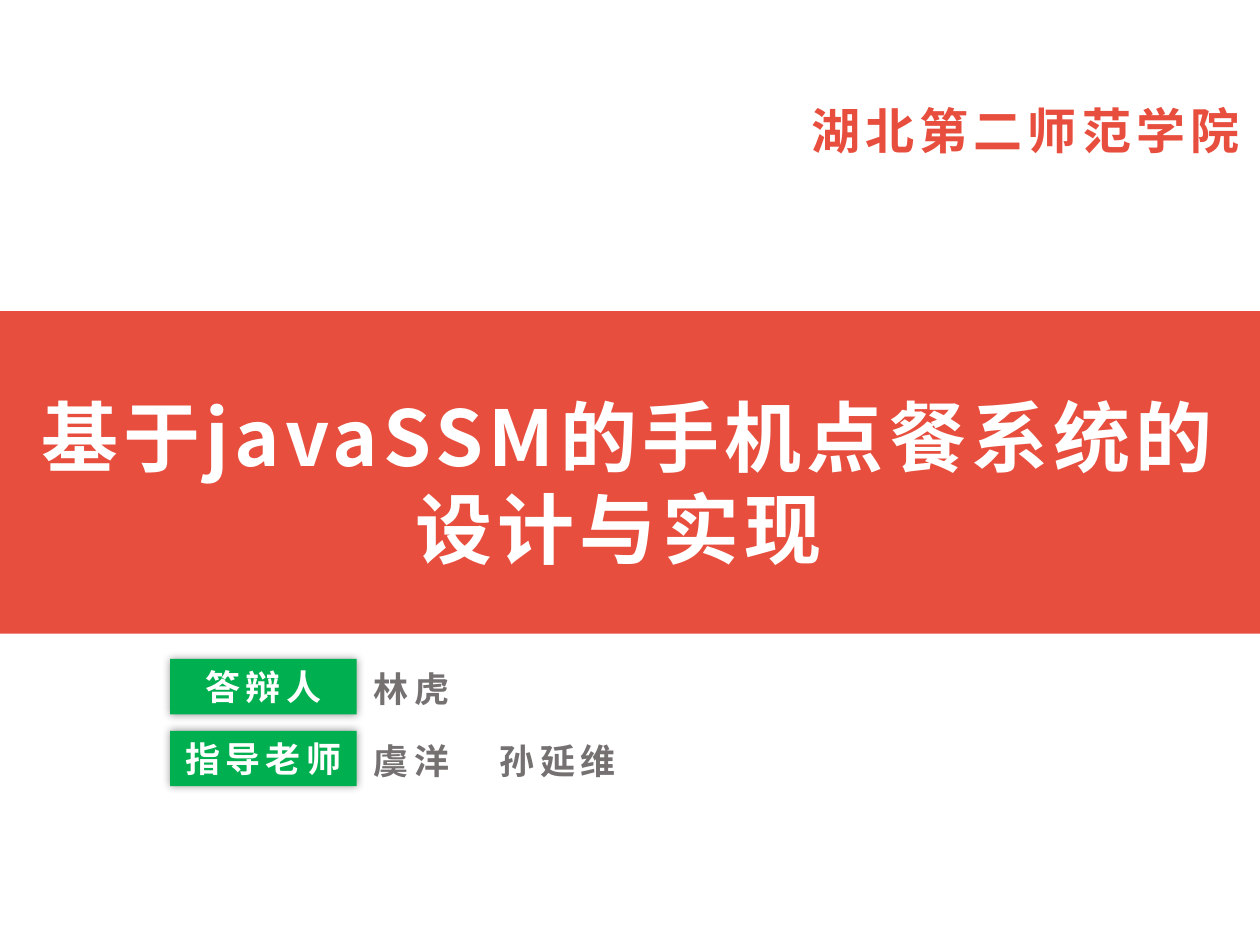
from lxml import etree
from pptx import Presentation
from pptx.dml.color import RGBColor
from pptx.enum.shapes import MSO_SHAPE
from pptx.enum.text import MSO_ANCHOR, PP_ALIGN
from pptx.oxml.ns import qn
from pptx.util import Inches, Pt

RECT = MSO_SHAPE.RECTANGLE
TOP, MIDDLE = MSO_ANCHOR.TOP, MSO_ANCHOR.MIDDLE
LEFT, CENTER = PP_ALIGN.LEFT, PP_ALIGN.CENTER
FONT = "Noto Sans CJK SC"
COLORS = {"red": "E74E3E", "green": "00B050", "gray": "767171",
          "white": "FFFFFF", "black": "000000"}

SCHOOL = "湖北第二师范学院"
TITLE = "基于javaSSM的手机点餐系统的设计与实现 "
PEOPLE = [("答辩人", "林虎", 1.77), ("指导老师", "虞洋\t孙延维", 2.6)]
ROW_TOP, ROW_STEP, ROW_HIGH = 5.23, 0.57, 0.44

deck = Presentation()
deck.slide_width, deck.slide_height = Inches(10), Inches(7.5)
slide = deck.slides.add_slide(deck.slide_layouts[6])


def rgb(name):
    return RGBColor.from_string(COLORS[name])


def write(shape, text, size, color, align=LEFT, anchor=TOP, wrap=True):
    frame = shape.text_frame
    frame.word_wrap = wrap
    frame.vertical_anchor = anchor
    para = frame.paragraphs[0]
    para.alignment = align
    run = para.add_run()
    run.text = text
    font = run.font
    font.name, font.size, font.bold = FONT, Pt(size), True
    font.color.rgb = rgb(color)
    props = run._r.get_or_add_rPr()
    props.set("spc", "300")
    etree.SubElement(props, qn("a:ea"), typeface=FONT)


def label(box, text, size, color, align=LEFT):
    shape = slide.shapes.add_textbox(*map(Inches, box))
    write(shape, text, size, color, align)


def block(box, color):
    shape = slide.shapes.add_shape(RECT, *map(Inches, box))
    shape.shadow.inherit = False
    shape.fill.solid()
    shape.fill.fore_color.rgb = rgb(color)
    shape.line.fill.background()
    return shape


def glow(shape):
    effects = shape._element.spPr.find(qn("a:effectLst"))
    shadow = etree.SubElement(effects, qn("a:outerShdw"), blurRad=str(Pt(5)),
                              dist="0", dir="0", algn="ctr", rotWithShape="0")
    tint = etree.SubElement(shadow, qn("a:srgbClr"), val=COLORS["black"])
    etree.SubElement(tint, qn("a:alpha"), val="40000")


label((6.34, 0.75, 3.67, 0.57), SCHOOL, 28, "red")
block((0, 2.47, 10, 2.56), "red")
label((0, 3.04, 10, 1.58), TITLE, 44, "white", CENTER)

for row, (role, name, width) in enumerate(PEOPLE):
    top = ROW_TOP + row * ROW_STEP
    chip = block((1.35, top, 1.48, ROW_HIGH), "green")
    glow(chip)
    write(chip, role, 20, "white", CENTER, MIDDLE, False)
    label((2.87, top + 0.02, width, ROW_HIGH), name, 20, "gray")

deck.save("out.pptx")
